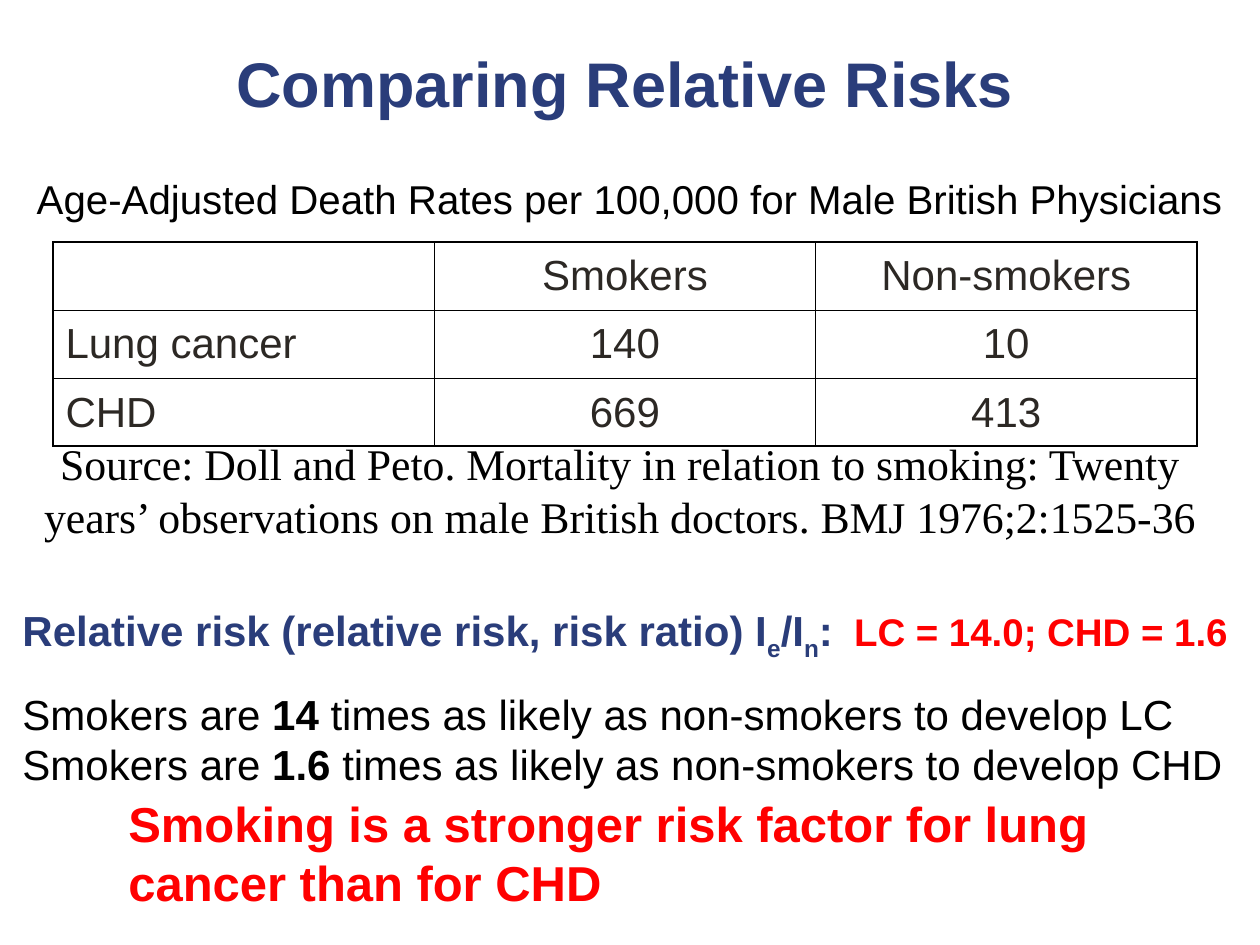
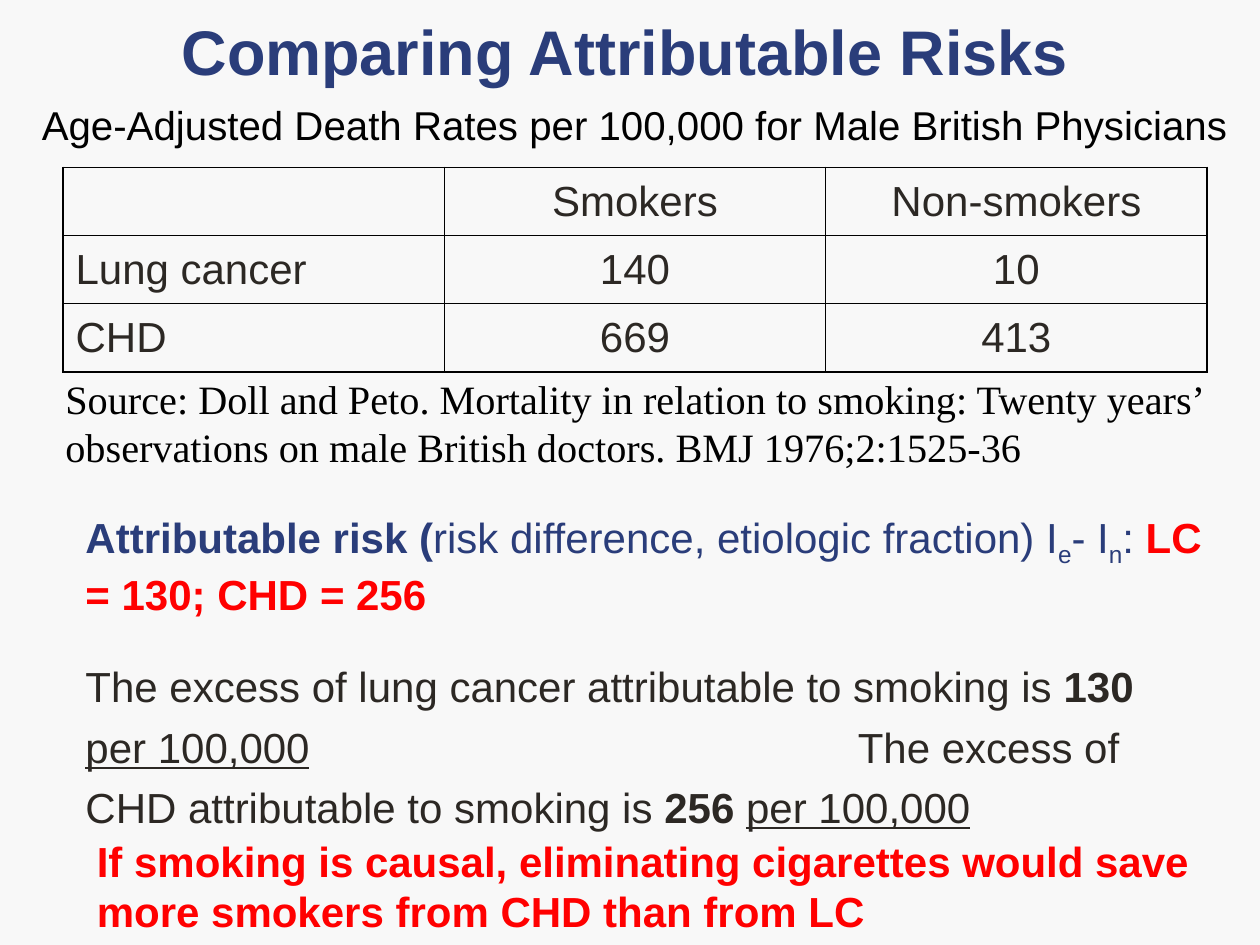
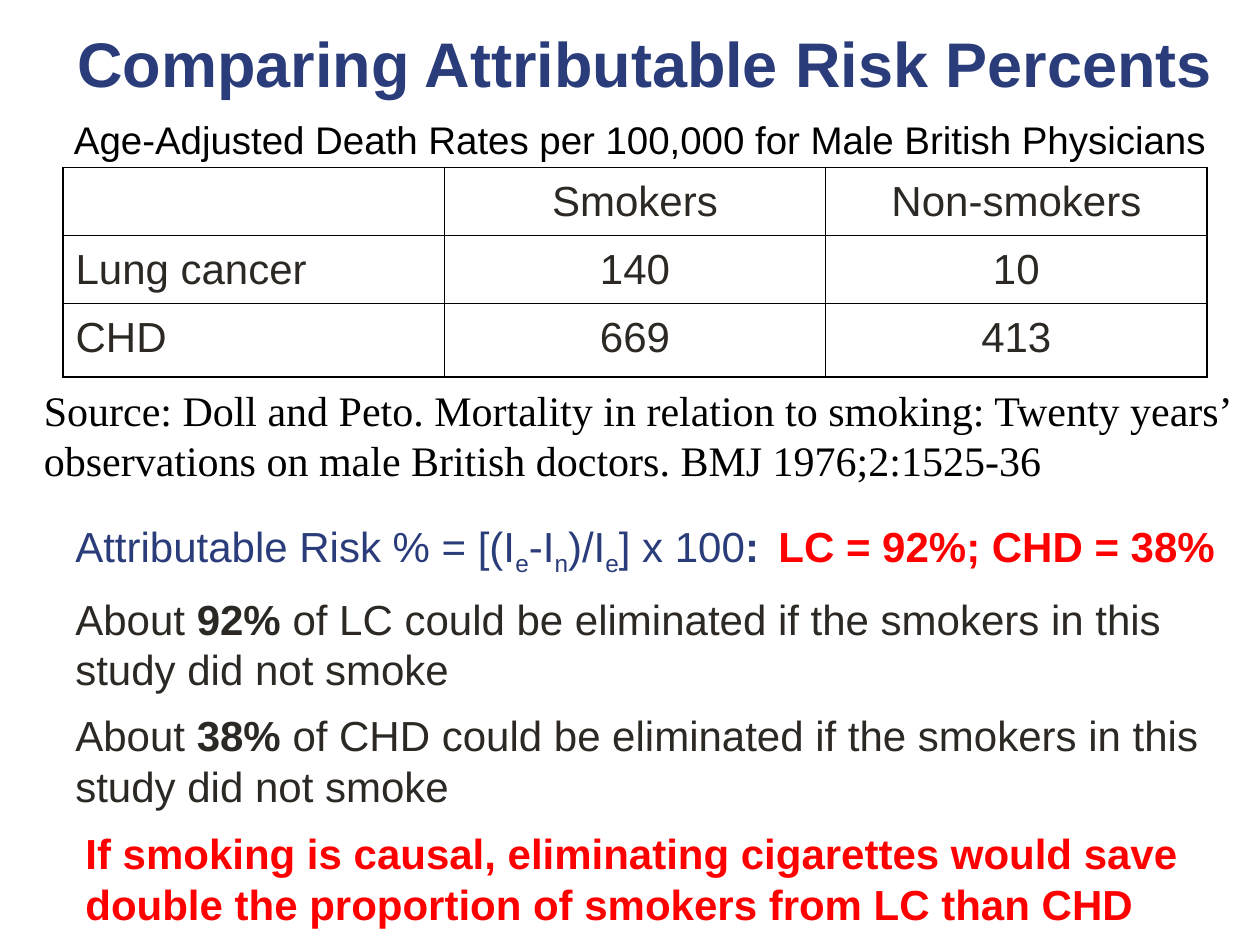
from dataclasses import dataclass
from typing import Optional

from lxml.etree import SubElement
from pptx import Presentation
from pptx.dml.color import RGBColor
from pptx.enum.text import MSO_ANCHOR as Anchor, PP_ALIGN as Align
from pptx.oxml.ns import qn
from pptx.util import Inches, Pt

COLORS = {
    "white": "FFFFFF",
    "light": "F8F8F8",
    "navy": "2A3D7A",
    "red": "FF0000",
    "black": "000000",
    "ink": "2C2824",
}
SANS, SERIF = "Arial", "Times New Roman"
OUTER_LINE, INNER_LINE = 1.08, 0.45
DEATH_RATES = [
    ["", "Smokers", "Non-smokers"],
    ["Lung cancer", "140", "10"],
    ["CHD", "669", "413"],
]
CAPTION = "Age-Adjusted Death Rates per 100,000 for Male British Physicians"
SOURCE = ("Source: Doll and Peto. Mortality in relation to smoking: Twenty years’ "
          "observations on male British doctors. BMJ 1976;2:1525-36")


@dataclass
class Piece:
    """Part of a paragraph; None keeps the paragraph's own formatting."""
    text: str
    bold: Optional[bool] = None
    color: Optional[str] = None
    size: Optional[float] = None
    underline: Optional[bool] = None
    subscript: bool = False


LINE_BREAK = Piece("\n")


def bold(text):
    return Piece(text, bold=True)


def sub(text):
    return Piece(text, subscript=True)


def underlined(text):
    return Piece(text, underline=True)


def rgb(name):
    return RGBColor.from_string(COLORS[name])


def add_piece(paragraph, piece):
    if piece is LINE_BREAK:
        paragraph.add_line_break()
        return
    run = paragraph.add_run()
    run.text = piece.text
    if piece.bold is not None:
        run.font.bold = piece.bold
    if piece.color:
        run.font.color.rgb = rgb(piece.color)
    if piece.size:
        run.font.size = Pt(piece.size)
    if piece.underline:
        run.font.underline = True
    if piece.subscript:
        run._r.get_or_add_rPr().set("baseline", "-25000")


def write_paragraph(paragraph, pieces, size=24, color="ink", is_bold=False, font=SANS,
                    align=Align.LEFT, before=0, spacing=None, tab=None):
    """Fill a paragraph from a string or a list of strings and pieces."""
    if tab:
        tab_list = SubElement(paragraph._p.get_or_add_pPr(), qn("a:tabLst"))
        SubElement(tab_list, qn("a:tab"), pos=str(Inches(tab)), algn="l")
    paragraph.alignment = align
    if before:
        paragraph.space_before = Pt(before)
    if spacing:
        paragraph.line_spacing = spacing
    paragraph.font.name = font
    paragraph.font.size = Pt(size)
    paragraph.font.bold = is_bold
    paragraph.font.color.rgb = rgb(color)
    for piece in [pieces] if isinstance(pieces, str) else pieces:
        add_piece(paragraph, Piece(piece) if isinstance(piece, str) else piece)


def add_text(slide, box, *paragraphs, anchor=Anchor.TOP):
    """Add a text box; each paragraph is a dict of write_paragraph arguments."""
    shape = slide.shapes.add_textbox(*(Inches(length) for length in box))
    frame = shape.text_frame
    frame.word_wrap = True
    frame.vertical_anchor = anchor
    for index, arguments in enumerate(paragraphs):
        paragraph = frame.add_paragraph() if index else frame.paragraphs[0]
        write_paragraph(paragraph, **arguments)


def add_title(slide, text, box):
    add_text(slide, box, dict(pieces=text, size=36, color="navy", is_bold=True,
                              align=Align.CENTER), anchor=Anchor.BOTTOM)


def add_caption(slide, box, size):
    add_text(slide, box, dict(pieces=CAPTION, size=size, color="black", align=Align.CENTER))


def add_source(slide, box, size, align=Align.LEFT):
    add_text(slide, box, dict(pieces=SOURCE, size=size, color="black", font=SERIF, align=align))


def add_conclusion(slide, text, box, size=24):
    add_text(slide, box, dict(pieces=text, size=size, color="red", is_bold=True))


def set_borders(cell, widths):
    properties = cell._tc.get_or_add_tcPr()
    for side, width in widths.items():
        line = SubElement(properties, qn(f"a:ln{side}"), w=str(Pt(width)))
        fill = SubElement(line, qn("a:solidFill"))
        SubElement(fill, qn("a:srgbClr"), val=COLORS["black"])


def add_rates_table(slide, left, top, last_row=0.54):
    row_heights = [0.54, 0.54, last_row]
    last = len(DEATH_RATES) - 1
    table = slide.shapes.add_table(3, 3, Inches(left), Inches(top), Inches(9.08),
                                   Inches(sum(row_heights))).table
    table.first_row = table.horz_banding = False
    for row, values in enumerate(DEATH_RATES):
        table.rows[row].height = Inches(row_heights[row])
        for column, value in enumerate(values):
            cell = table.cell(row, column)
            edges = {"L": column == 0, "R": column == last, "T": row == 0, "B": row == last}
            set_borders(cell, {side: OUTER_LINE if outer else INNER_LINE
                               for side, outer in edges.items()})
            cell.fill.background()
            if value:
                write_paragraph(cell.text_frame.paragraphs[0], value, spacing=1.1,
                                align=Align.CENTER if column else Align.LEFT)


def add_slide(presentation, background="white"):
    slide = presentation.slides.add_slide(presentation.slide_layouts[6])
    slide.background.fill.solid()
    slide.background.fill.fore_color.rgb = rgb(background)
    return slide


def build_relative_risks(presentation):
    slide = add_slide(presentation)
    add_title(slide, "Comparing Relative Risks", (0.42, 0.42, 9.08, 0.58))
    add_rates_table(slide, 0.42, 1.92)
    add_text(
        slide, (0.08, 4.75, 10.42, 1.57),
        dict(pieces=["Relative risk (relative risk, risk ratio) I", sub("e"), "/I", sub("n"),
                     ":\t", Piece("LC = 14.0; CHD = 1.6", color="red", size=22)],
             color="navy", is_bold=True, tab=6.6),
        dict(pieces=["Smokers are ", bold("14"),
                     " times as likely as non-smokers to develop LC", LINE_BREAK,
                     "Smokers are ", bold("1.6"),
                     " times as likely as non-smokers to develop CHD"],
             color="black", before=15))
    add_source(slide, (0.17, 3.42, 9.5, 0.94), 25, Align.CENTER)
    add_caption(slide, (-0.33, 1.33, 10.67, 0.49), 23)
    add_conclusion(slide, "Smoking is a stronger risk factor for lung cancer than for CHD",
                   (0.92, 6.25, 8.58, 1.04), 28)


def build_attributable_risks(presentation):
    slide = add_slide(presentation, "light")
    add_rates_table(slide, 0.5, 1.33)
    add_text(
        slide, (0.58, 4.01, 9.08, 2.65),
        dict(pieces=[bold("Attributable risk ("), "risk difference, etiologic fraction) I",
                     sub("e"), "- I", sub("n"), ": ",
                     Piece("LC = 130; CHD = 256", bold=True, color="red")],
             color="navy"),
        dict(pieces=["The excess of lung cancer attributable to smoking is ", bold("130 "),
                     underlined("per 100,000"),
                     "\tThe excess of CHD attributable to smoking is ", bold("256 "),
                     underlined("per 100,000")],
             before=18, spacing=1.2, tab=6.13))
    add_source(slide, (0.42, 2.92, 10.58, 0.87), 23)
    add_caption(slide, (-0.08, 0.75, 10.25, 0.49), 23)
    add_title(slide, "Comparing Attributable Risks", (0.42, 0.17, 9.08, 0.58))
    add_conclusion(slide, "If smoking is causal, eliminating cigarettes would save "
                   "more smokers from CHD than from LC", (0.67, 6.58, 8.92, 0.9))


def build_attributable_risk_percents(presentation):
    slide = add_slide(presentation)
    add_rates_table(slide, 0.5, 1.33, last_row=0.58)
    eliminated = [
        dict(pieces=["About ", bold(share), f" of {disease} could be eliminated "
                     "if the smokers in this study did not smoke"], before=9)
        for share, disease in [("92%", "LC"), ("38%", "CHD")]
    ]
    add_text(
        slide, (0.5, 4.08, 9.5, 2.41),
        dict(pieces=["Attributable Risk % = [(I", sub("e"), "-I", sub("n"), ")/I", sub("e"),
                     "] x 100", bold(":\t"),
                     Piece("LC = 92%; CHD = 38%", bold=True, color="red")],
             color="navy", tab=5.58),
        *eliminated)
    add_source(slide, (0.25, 3, 10, 0.9), 24)
    add_title(slide, "Comparing Attributable Risk Percents", (0.33, 0.42, 9.58, 0.42))
    add_caption(slide, (-0.42, 0.87, 11, 0.47), 22)
    add_conclusion(slide, "If smoking is causal, eliminating cigarettes would save "
                   "double the proportion of smokers from LC than CHD",
                   (0.58, 6.52, 9.25, 0.9))


def main():
    presentation = Presentation()
    presentation.slide_width = Inches(10)
    presentation.slide_height = Inches(7.5)
    build_relative_risks(presentation)
    build_attributable_risks(presentation)
    build_attributable_risk_percents(presentation)
    presentation.save("out.pptx")


if __name__ == "__main__":
    main()
